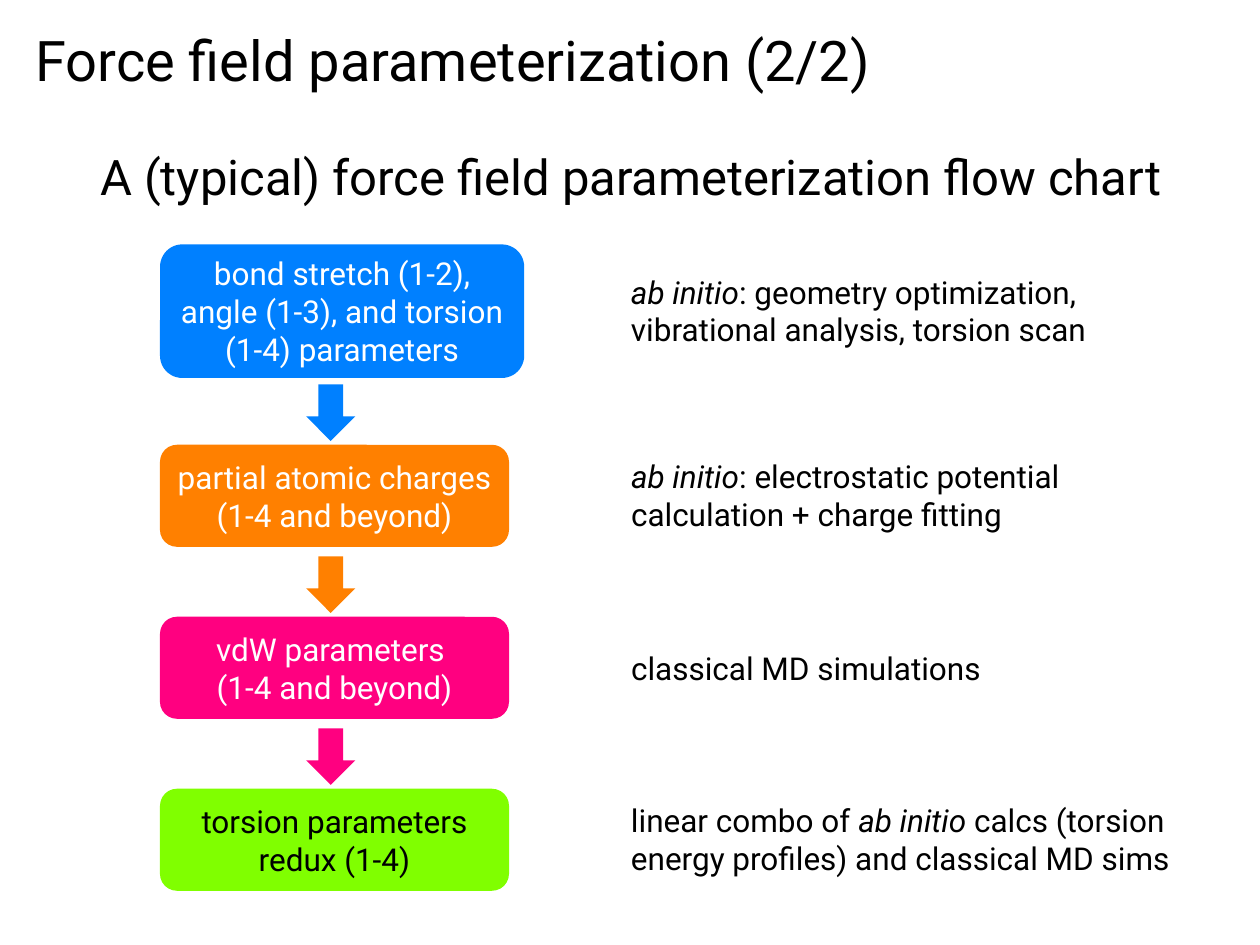
from dataclasses import dataclass

from pptx import Presentation
from pptx.dml.color import RGBColor
from pptx.enum.shapes import MSO_SHAPE
from pptx.enum.text import MSO_ANCHOR, PP_ALIGN
from pptx.util import Inches, Pt

ROUNDED, DOWN_ARROW = MSO_SHAPE.ROUNDED_RECTANGLE, MSO_SHAPE.DOWN_ARROW
TOP, MIDDLE = MSO_ANCHOR.TOP, MSO_ANCHOR.MIDDLE
LEFT, CENTER = PP_ALIGN.LEFT, PP_ALIGN.CENTER
TITLE_ONLY = 5
FONT = "Roboto"
COLORS = {"blue": "0080FF", "orange": "FF8000", "pink": "FF0080",
          "green": "80FF00", "white": "FFFFFF", "black": "000000"}

# Flow chart grid, in inches
STEP_X, STEP_W, STEP_H = 1.27, 2.77, 0.81
FIRST_Y, SECOND_Y, PITCH = 1.94, 3.53, 1.365
ARROW_X, ARROW_W, ARROW_H, ARROW_RISE = 2.43, 0.39, 0.45, 0.48
NOTE_X = 4.91


@dataclass
class Step:
    label: str
    note: str
    fill: str
    note_w: float
    note_h: float = 0.71
    color: str = "white"
    w: float = STEP_W
    h: float = STEP_H


STEPS = [
    Step("bond stretch (1-2), angle (1-3), and torsion (1-4) parameters",
         "*ab initio*: geometry optimization, vibrational analysis, torsion scan",
         "blue", 3.83, w=2.89, h=1.06),
    Step("partial atomic charges (1-4 and beyond)",
         "*ab initio*: electrostatic potential calculation + charge fitting",
         "orange", 4.09),
    Step("vdW parameters \n(1-4 and beyond)", "classical MD simulations",
         "pink", 4.09, note_h=0.4),
    Step("torsion parameters redux (1-4)",
         "linear combo of *ab initio *calcs (torsion energy profiles) "
         "and classical MD sims",
         "green", 4.54, color="black"),
]


def write(sp, text: str, *, size: float = 18, color: str = "black",
          align=LEFT, anchor=TOP, wrap: bool = True) -> None:
    """Fill a shape with text; parts between asterisks are italic."""
    tf = sp.text_frame
    tf.word_wrap = wrap
    tf.vertical_anchor = anchor
    for i, line in enumerate(text.split("\n")):
        p = tf.add_paragraph() if i else tf.paragraphs[0]
        p.alignment = align
        for j, part in enumerate(line.split("*")):
            if not part:
                continue
            r = p.add_run()
            r.text = part
            r.font.name, r.font.size = FONT, Pt(size)
            r.font.italic = j % 2 == 1
            r.font.color.rgb = RGBColor.from_string(COLORS[color])


def add_block(slide, kind, x: float, y: float, w: float, h: float, fill: str):
    sp = slide.shapes.add_shape(kind, Inches(x), Inches(y), Inches(w), Inches(h))
    sp.shadow.inherit = False
    sp.fill.solid()
    sp.fill.fore_color.rgb = RGBColor.from_string(COLORS[fill])
    sp.line.fill.background()
    return sp


def add_text(slide, x: float, y: float, w: float, h: float, text: str,
             **style) -> None:
    sp = slide.shapes.add_textbox(Inches(x), Inches(y), Inches(w), Inches(h))
    write(sp, text, **style)


def add_step(slide, step: Step, y: float) -> None:
    sp = add_block(slide, ROUNDED, STEP_X, y, step.w, step.h, step.fill)
    write(sp, step.label, color=step.color, align=CENTER, anchor=MIDDLE)
    note_y = y + (step.h - step.note_h) / 2
    add_text(slide, NOTE_X, note_y, step.note_w, step.note_h, step.note)


def main() -> None:
    prs = Presentation()
    prs.slide_width, prs.slide_height = Inches(10), Inches(7.5)
    slide = prs.slides.add_slide(prs.slide_layouts[TITLE_ONLY])

    title = slide.shapes.title
    title.left, title.top = Inches(0.18), Inches(0.15)
    title.width, title.height = Inches(7.04), Inches(0.64)
    write(title, "Force field parameterization (2/2)", size=32, wrap=False)
    add_text(slide, 0.3, 1.11, 9.41, 0.57,
             "A (typical) force field parameterization flow chart",
             size=28, align=CENTER)

    for i, step in enumerate(STEPS):
        y = SECOND_Y + (i - 1) * PITCH if i else FIRST_Y
        add_step(slide, step, y)
        if i:
            add_block(slide, DOWN_ARROW, ARROW_X, y - ARROW_RISE,
                      ARROW_W, ARROW_H, STEPS[i - 1].fill)

    prs.save("out.pptx")


if __name__ == "__main__":
    main()
